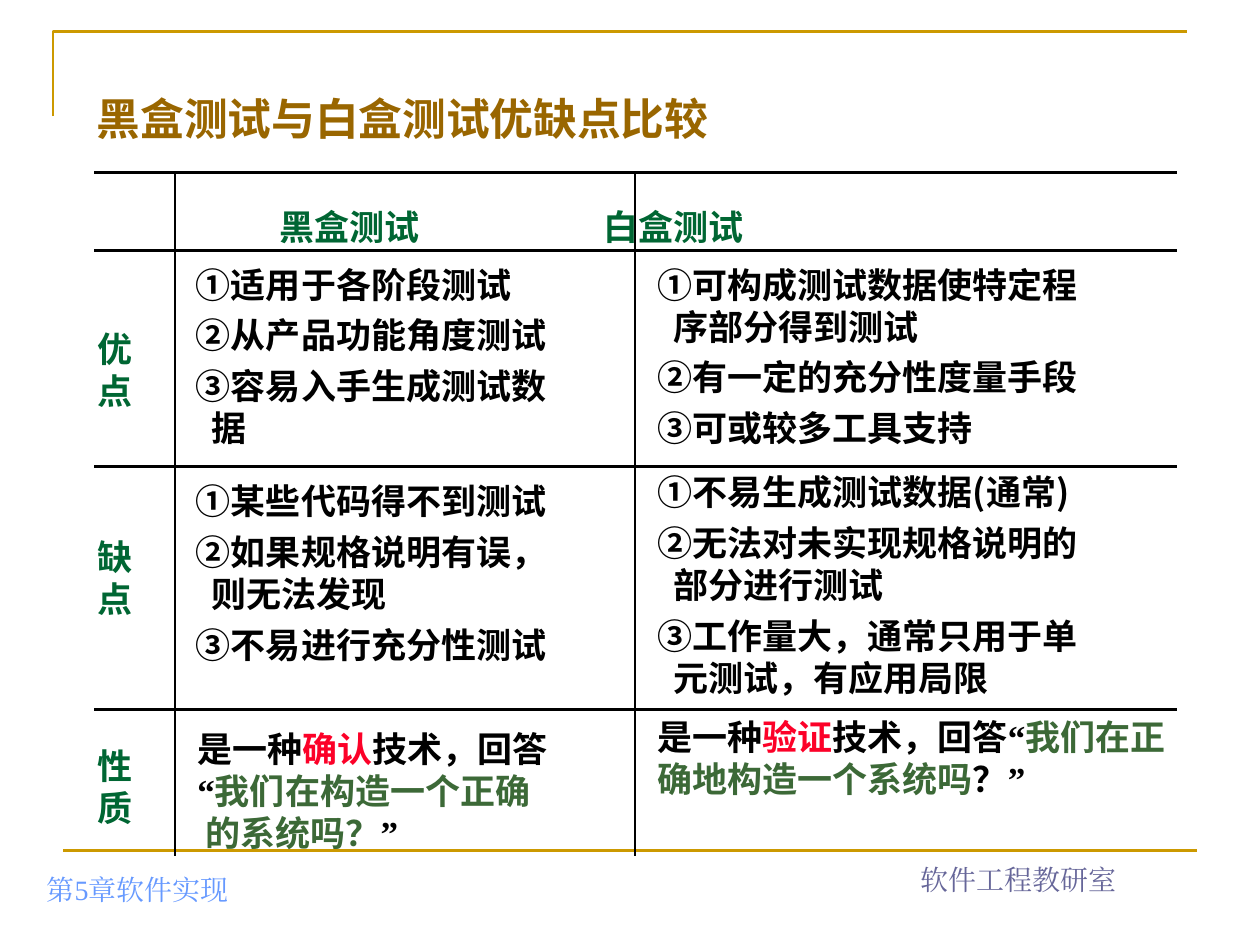
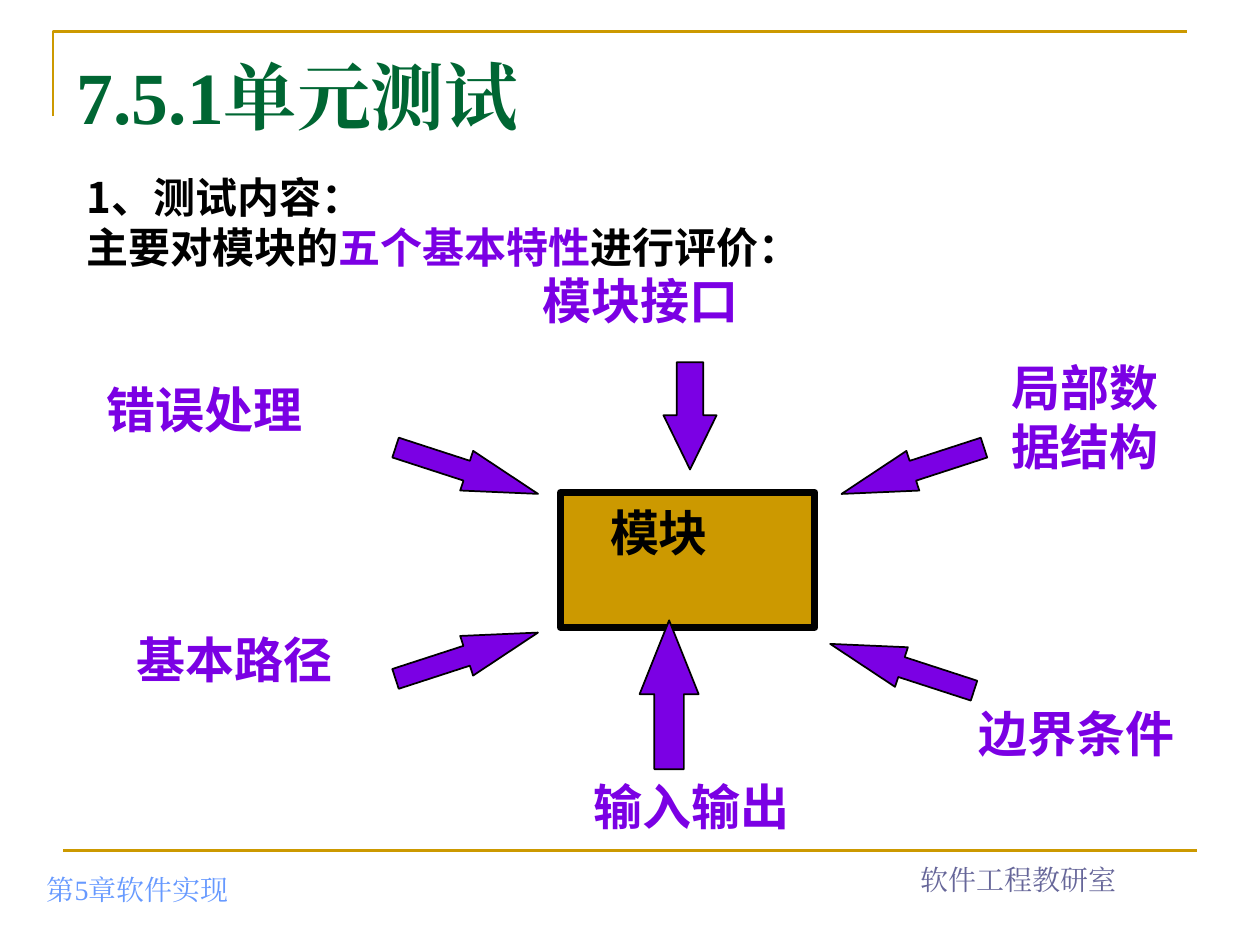
from lxml import etree
from pptx import Presentation
from pptx import util as u
from pptx.dml.color import RGBColor
from pptx.enum import shapes, text
from pptx.oxml import ns

COLOURS = {
    "gold": "CC9900", "brown": "996600", "green": "006633", "leaf": "3C6937",
    "red": "FC0128", "violet": "7B00E4", "black": "000000",
    "sky": "6699FF", "slate": "666699",
}
SANS, SERIF = "Noto Sans CJK SC", "Times New Roman"
NUMERALS = "①②③"

FRAME_POINTS = [(1.07, 2.34), (1.07, 0.64), (23.93, 0.64)]
FOOTER_RULE = (1.27, 17.15, 24.13, 17.15)
FOOTERS = [
    ("第5章软件实现", (0.69, 17.12, 8, 1.27), "sky", "LEFT"),
    ("软件工程教研室", (16.51, 16.92, 8.05, 1.27), "slate", "CENTER"),
]

COMPARISON_TITLE = "黑盒测试与白盒测试优缺点比较"
GRID_ROWS = [3.48, 5.05, 9.4, 14.3]
GRID_COLUMNS = [3.53, 12.8]
GRID_LEFT, GRID_RIGHT, GRID_BOTTOM = 1.9, 23.72, 17.25
COLUMN_HEADINGS = [("黑盒测试", 5.38), ("白盒测试", 11.92)]
ROW_LABELS = [("优点", 6.48), ("缺点", 10.67), ("性质", 14.88)]
POINT_CELLS = [
    ((3.7, 5.18, 9.65, 4.01),
     ["①适用于各阶段测试", "②从产品功能角度测试", "③容易入手生成测试数", "据"]),
    ((13, 5.18, 10.9, 4.01),
     ["①可构成测试数据使特定程", "序部分得到测试", "②有一定的充分性度量手段",
      "③可或较多工具支持"]),
    ((3.7, 9.55, 10.92, 4.01),
     ["①某些代码得不到测试", "②如果规格说明有误，", "则无法发现",
      "③不易进行充分性测试"]),
    ((13, 9.37, 10.9, 4.85),
     ["①不易生成测试数据(通常)", "②无法对未实现规格说明的", "部分进行测试",
      "③工作量大，通常只用于单", "元测试，有应用局限"]),
]
CONFIRMATION_BOX = (3.73, 14.53, 7.57, 2.79)
CONFIRMATION = [
    [("是一种", "black"), ("确认", "red"), ("技术，回答", "black")],
    [("“", "black"), ("我们在构造一个正确", "leaf")],
    [("的系统吗？", "leaf"), ("”", "black")],
]
VERIFICATION_BOX = (13, 14.3, 10.9, 1.96)
VERIFICATION = [
    [("是一种", "black"), ("验证", "red"), ("技术，回答", "black"), ("“", "black"),
     ("我们在正确地构造一个系统吗", "leaf"), ("？", "black"), ("”", "black")],
]

UNIT_TEST_TITLE = "7.5.1单元测试"
UNIT_TEST_INTRO = [
    [("1、测试内容：", "black")],
    [("主要对模块的", "black"), ("五个基本特性", "violet"), ("进行评价：", "black")],
]
MODULE_BOX = (11.3, 9.93, 5.13, 2.72)
MODULE_LABEL = ("模块", 12.04, 10.01)
FEATURES = [
    (["模块接口"], 10.69, 5.33),
    (["错误处理"], 1.9, 7.52),
    (["局部数", "据结构"], 20.14, 7.09),
    (["基本路径"], 2.51, 12.57),
    (["边界条件"], 19.48, 14.05),
    (["输入输出"], 11.71, 15.52),
]
ARROWS = [
    ((12.83, 7.85, 2.16, 1.07), 90, 1.02),
    ((7.9, 9.07, 3.02, 0.84), 18, 1.8),
    ((16.89, 9.07, 3.02, 0.84), 162, 1.8),
    ((7.9, 12.8, 3.02, 0.84), 342, 1.8),
    ((16.66, 13.03, 3.05, 0.84), 198, 1.8),
    ((11.99, 13.41, 3, 1.19), 270, 1.25),
]


def cm(values):
    return [u.Cm(value) for value in values]


def colour(name):
    return RGBColor.from_string(COLOURS[name])


def plain(content, colour_name):
    return [[(line, colour_name)] for line in content]


def add_text(slide, box, lines, size, font=SANS, bold=True, wrap=True,
             align="LEFT", anchor="TOP"):
    frame = slide.shapes.add_textbox(*cm(box)).text_frame
    frame.word_wrap = wrap
    frame.vertical_anchor = getattr(text.MSO_ANCHOR, anchor)
    for index, line in enumerate(lines):
        paragraph = frame.add_paragraph() if index else frame.paragraphs[0]
        paragraph.alignment = getattr(text.PP_ALIGN, align)
        for words, colour_name in line:
            run = paragraph.add_run()
            run.text = words
            run.font.size = u.Pt(size)
            run.font.bold = bold
            run.font.name = SERIF if words in "“”" else font
            run.font.color.rgb = colour(colour_name)
            east_asian = etree.SubElement(run.font._element, ns.qn("a:ea"))
            east_asian.set("typeface", run.font.name)
    return frame


def indent(paragraph, distance):
    paragraph._p.get_or_add_pPr().set("marL", str(u.Cm(distance)))


def add_line(slide, ends, colour_name):
    line = slide.shapes.add_connector(shapes.MSO_CONNECTOR.STRAIGHT, *cm(ends))
    line.line.color.rgb = colour(colour_name)
    line.line.width = u.Pt(1.5)
    etree.SubElement(line._element.spPr, ns.qn("a:effectLst"))


def add_filled(slide, kind, box, fill, line_width):
    shape = slide.shapes.add_shape(kind, *cm(box))
    shape.shadow.inherit = False
    shape.fill.solid()
    shape.fill.fore_color.rgb = colour(fill)
    shape.line.color.rgb = colour("black")
    shape.line.width = u.Pt(line_width)
    return shape


def add_base_slide(presentation):
    slide = presentation.slides.add_slide(presentation.slide_layouts[6])
    start, *others = [cm(point) for point in FRAME_POINTS]
    builder = slide.shapes.build_freeform(*start)
    builder.add_line_segments(others, close=False)
    corner = builder.convert_to_shape()
    corner.shadow.inherit = False
    corner.fill.background()
    corner.line.color.rgb = colour("gold")
    corner.line.width = u.Pt(1.5)
    add_line(slide, FOOTER_RULE, "gold")
    for words, box, colour_name, align in FOOTERS:
        add_text(slide, box, plain([words], colour_name), 16, SERIF, bold=False,
                 align=align, anchor="BOTTOM")
    return slide


def build_comparison(presentation):
    slide = add_base_slide(presentation)
    add_text(slide, (1.7, 1.73, 22.86, 1.37), plain([COMPARISON_TITLE], "brown"), 25)
    for y in GRID_ROWS:
        add_line(slide, (GRID_LEFT, y, GRID_RIGHT, y), "black")
    for x in GRID_COLUMNS:
        add_line(slide, (x, GRID_ROWS[0], x, GRID_BOTTOM), "black")
    for heading, left in COLUMN_HEADINGS:
        add_text(slide, (left, 4.01, 3.33, 1.1), plain([heading], "green"), 20, wrap=False)
    for label, top in ROW_LABELS:
        add_text(slide, (1.72, top, 1.22, 1.96), plain(label, "green"), 20, wrap=False)
    for box, points in POINT_CELLS:
        frame = add_text(slide, box, plain(points, "black"), 20)
        for paragraph in frame.paragraphs[1:]:
            if paragraph.text[0] in NUMERALS:
                paragraph.space_before = u.Pt(5)
            else:
                indent(paragraph, 0.32)
    frame = add_text(slide, CONFIRMATION_BOX, CONFIRMATION, 20, wrap=False)
    indent(frame.paragraphs[-1], 0.16)
    add_text(slide, VERIFICATION_BOX, VERIFICATION, 20)


def build_unit_test(presentation):
    slide = add_base_slide(presentation)
    add_text(slide, (1.3, 0.91, 22.81, 1.6), plain([UNIT_TEST_TITLE], "green"), 42, SERIF)
    add_text(slide, (1.5, 3.33, 22.81, 2.29), UNIT_TEST_INTRO, 24)
    add_filled(slide, shapes.MSO_SHAPE.RECTANGLE, MODULE_BOX, "gold", 4)
    label, left, top = MODULE_LABEL
    add_text(slide, (left, top, 2.49, 1.42), plain([label], "black"), 28,
             wrap=False, align="CENTER")
    for lines, left, top in FEATURES:
        width = 0.99 * len(lines[0]) + 0.5
        height = 1.19 * len(lines) + 0.24
        add_text(slide, (left, top, width, height), plain(lines, "violet"), 28, wrap=False)
    for box, rotation, head_length in ARROWS:
        arrow = add_filled(slide, shapes.MSO_SHAPE.RIGHT_ARROW, box, "violet", 1)
        arrow.rotation = rotation
        arrow.adjustments[1] = head_length


def main():
    presentation = Presentation()
    presentation.slide_width = u.Cm(25.4)
    presentation.slide_height = u.Cm(19.05)
    build_comparison(presentation)
    build_unit_test(presentation)
    presentation.save("out.pptx")


if __name__ == "__main__":
    main()
